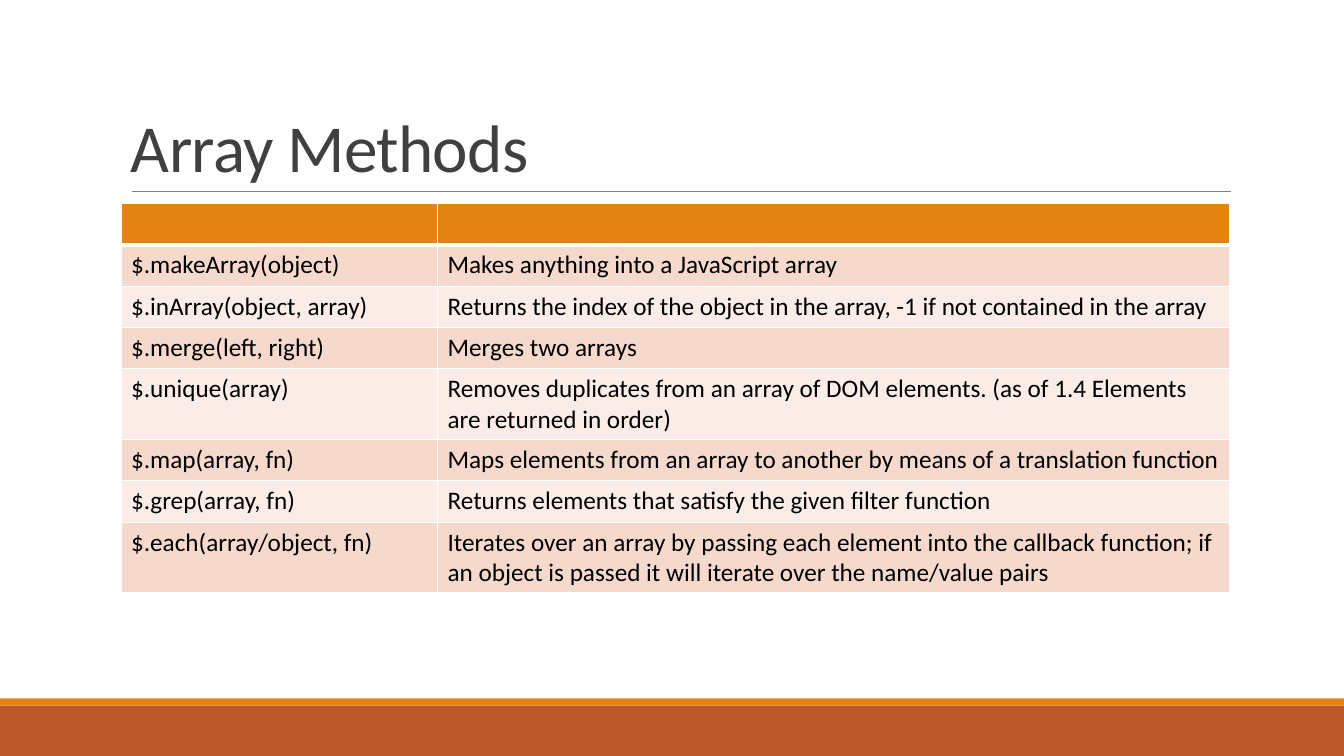
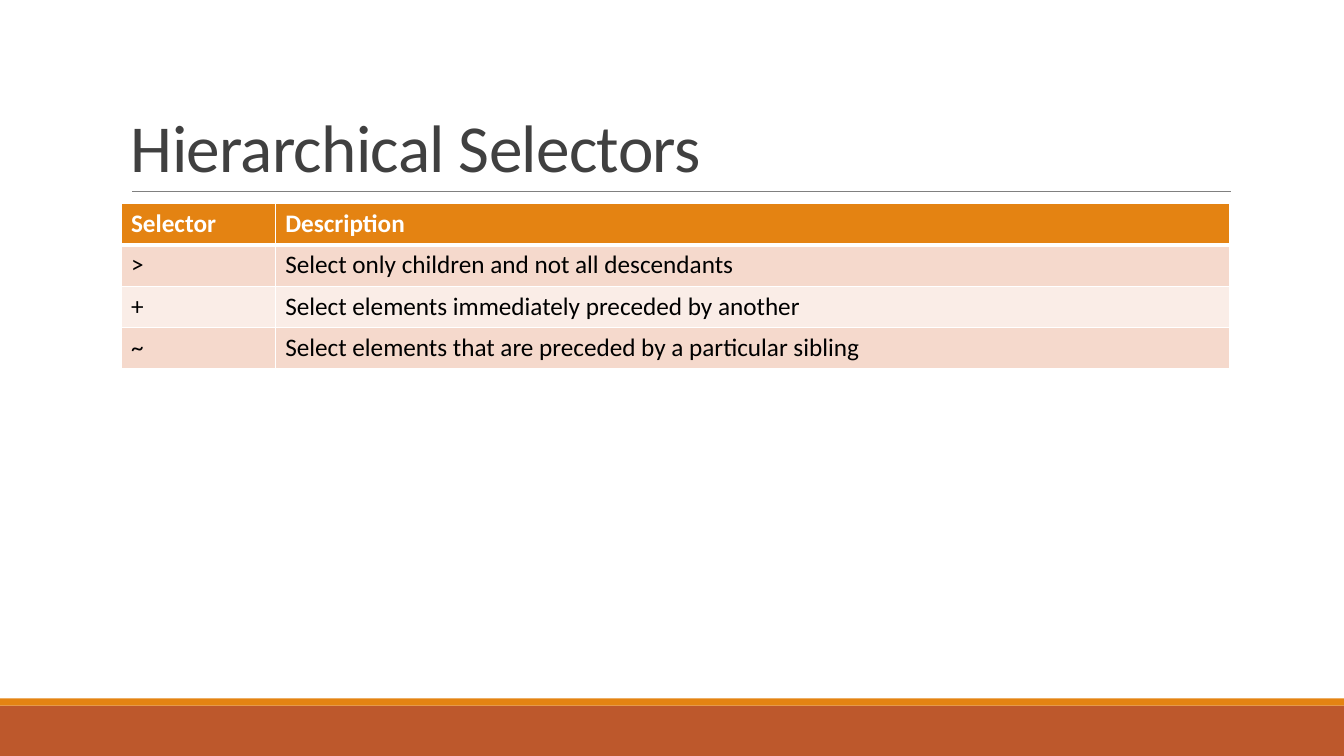
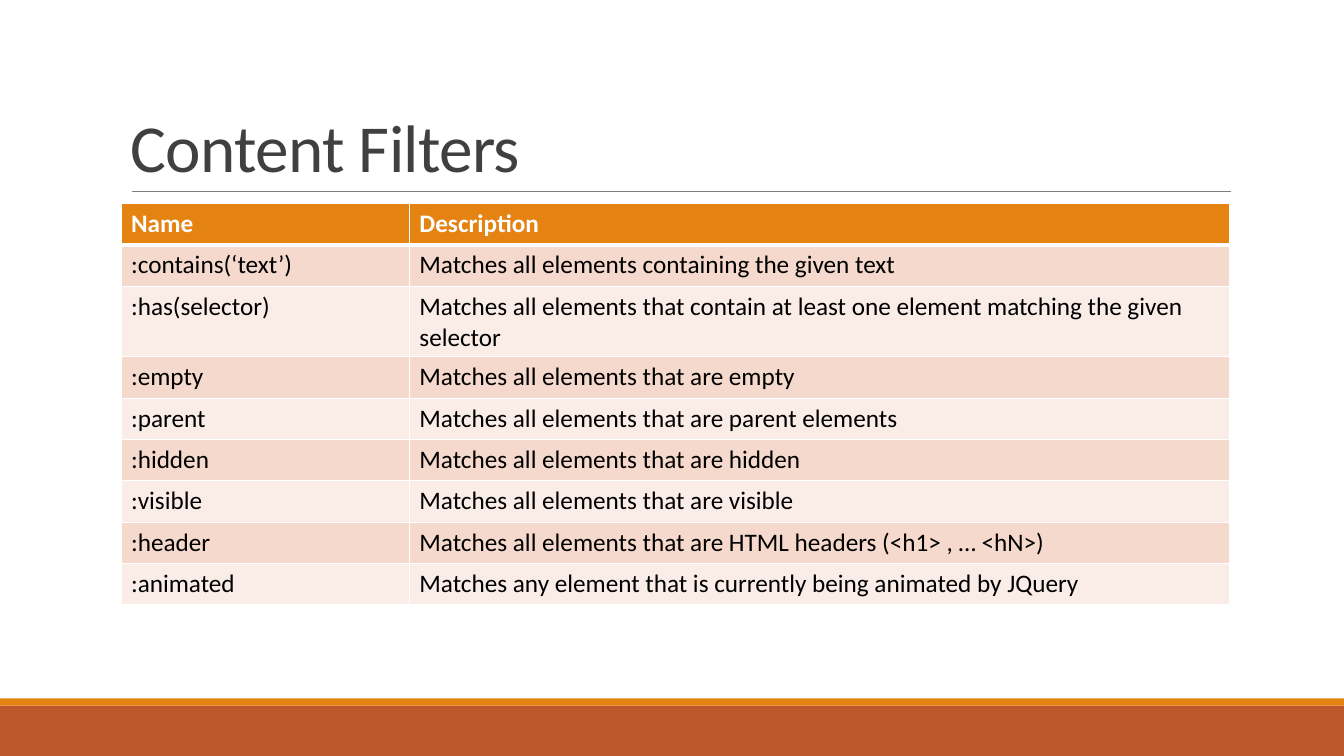
"""Build three slides of JavaScript library reference tables."""
from pptx import Presentation, util as u
from pptx.dml.color import RGBColor
from pptx.enum import shapes, text
from pptx.oxml import parse_xml
from pptx.oxml.ns import nsdecls

FONT = "Calibri"
RUST, ORANGE, RULE, INK = "BD582C", "E48312", "808080", "404040"
WHITE, BLACK = "FFFFFF", "000000"
STRIPES = ["FAEDE7", "F5D9CC"]
LEFT, WIDTH, ROW_HEIGHT = 1.2, 11, 0.41
BANDS = [(7, 0.5, RUST), (6.93, 0.07, ORANGE)]

TABLES = [
    ("Array Methods", 3.14, [
        ("", ""),
        ("$.makeArray(object)", "Makes anything into a JavaScript array"),
        ("$.inArray(object, array)",
         "Returns the index of the object in the array, -1 if not contained in the array"),
        ("$.merge(left, right)", "Merges two arrays"),
        ("$.unique(array)",
         "Removes duplicates from an array of DOM elements. "
         "(as of 1.4 Elements are returned in order)"),
        ("$.map(array, fn)",
         "Maps elements from an array to another by means of a translation function"),
        ("$.grep(array, fn)", "Returns elements that satisfy the given filter function"),
        ("$.each(array/object, fn)",
         "Iterates over an array by passing each element into the callback function; "
         "if an object is passed it will iterate over the name/value pairs"),
    ]),
    ("Hierarchical Selectors", 1.53, [
        ("Selector", "Description"),
        (">", "Select only children and not all descendants"),
        ("+", "Select elements immediately preceded by another"),
        ("~", "Select elements that are preceded by a particular sibling"),
    ]),
    ("Content Filters", 2.86, [
        ("Name", "Description"),
        (":contains(‘text’)", "Matches all elements containing the given text"),
        (":has(selector)",
         "Matches all elements that contain at least one element matching the given selector"),
        (":empty", "Matches all elements that are empty"),
        (":parent", "Matches all elements that are parent elements"),
        (":hidden", "Matches all elements that are hidden"),
        (":visible", "Matches all elements that are visible"),
        (":header", "Matches all elements that are HTML headers (<h1> , … <hN>)"),
        (":animated", "Matches any element that is currently being animated by JQuery"),
    ]),
]


def paint(colour_format, colour):
    colour_format.rgb = RGBColor.from_string(colour)


def write(frame, words, size=18, colour=BLACK, bold=False, line_spacing=None, tracking=None):
    paragraph = frame.paragraphs[0]
    paragraph.line_spacing = line_spacing
    run = paragraph.add_run()
    run.text = words
    run.font.name, run.font.size, run.font.bold = FONT, u.Pt(size), bold
    paint(run.font.color, colour)
    if tracking:
        run.font._element.set("spc", str(int(tracking * 100)))


prs = Presentation()
prs.slide_width, prs.slide_height = u.Inches(13.33), u.Inches(7.5)

for heading, first_width, entries in TABLES:
    slide = prs.slides.add_slide(prs.slide_layouts[6])

    for top, height, colour in BANDS:
        band = slide.shapes.add_shape(shapes.MSO_SHAPE.RECTANGLE, 0, u.Inches(top),
                                      prs.slide_width, u.Inches(height))
        band.shadow.inherit = False
        band.fill.solid()
        paint(band.fill.fore_color, colour)
        band.line.fill.background()

    rule = slide.shapes.add_connector(shapes.MSO_CONNECTOR.STRAIGHT, u.Inches(1.31),
                                      u.Inches(1.9), u.Inches(12.21), u.Inches(1.9))
    rule.line.width = u.Pt(0.5)
    paint(rule.line.color, RULE)
    rule._element.spPr.append(parse_xml(f"<a:effectLst {nsdecls('a')}/>"))

    title = slide.shapes.add_textbox(u.Inches(LEFT), u.Inches(0.31),
                                     u.Inches(WIDTH), u.Inches(1.59)).text_frame
    title.word_wrap = True
    title.vertical_anchor = text.MSO_ANCHOR.BOTTOM
    write(title, heading, size=48, colour=INK, line_spacing=0.85, tracking=-0.5)

    table = slide.shapes.add_table(len(entries), 2, u.Inches(LEFT), u.Inches(2.02),
                                   u.Inches(WIDTH), u.Inches(ROW_HEIGHT * len(entries))).table
    table.columns[0].width = u.Inches(first_width)
    table.columns[1].width = u.Inches(WIDTH - first_width)

    for r, entry in enumerate(entries):
        table.rows[r].height = u.Inches(ROW_HEIGHT)
        is_header = r == 0
        borders = {"L": 1, "R": 1, "T": 3 if r == 1 else 1, "B": 3 if is_header else 1}
        for c, words in enumerate(entry):
            cell = table.cell(r, c)
            for side, points in borders.items():
                cell._tc.get_or_add_tcPr().append(parse_xml(
                    f'<a:ln{side} {nsdecls("a")} w="{u.Pt(points)}"><a:solidFill>'
                    f'<a:srgbClr val="{WHITE}"/></a:solidFill></a:ln{side}>'))
            cell.fill.solid()
            paint(cell.fill.fore_color, ORANGE if is_header else STRIPES[r % 2])
            if words:
                write(cell.text_frame, words, colour=WHITE if is_header else BLACK,
                      bold=is_header)

prs.save("out.pptx")
